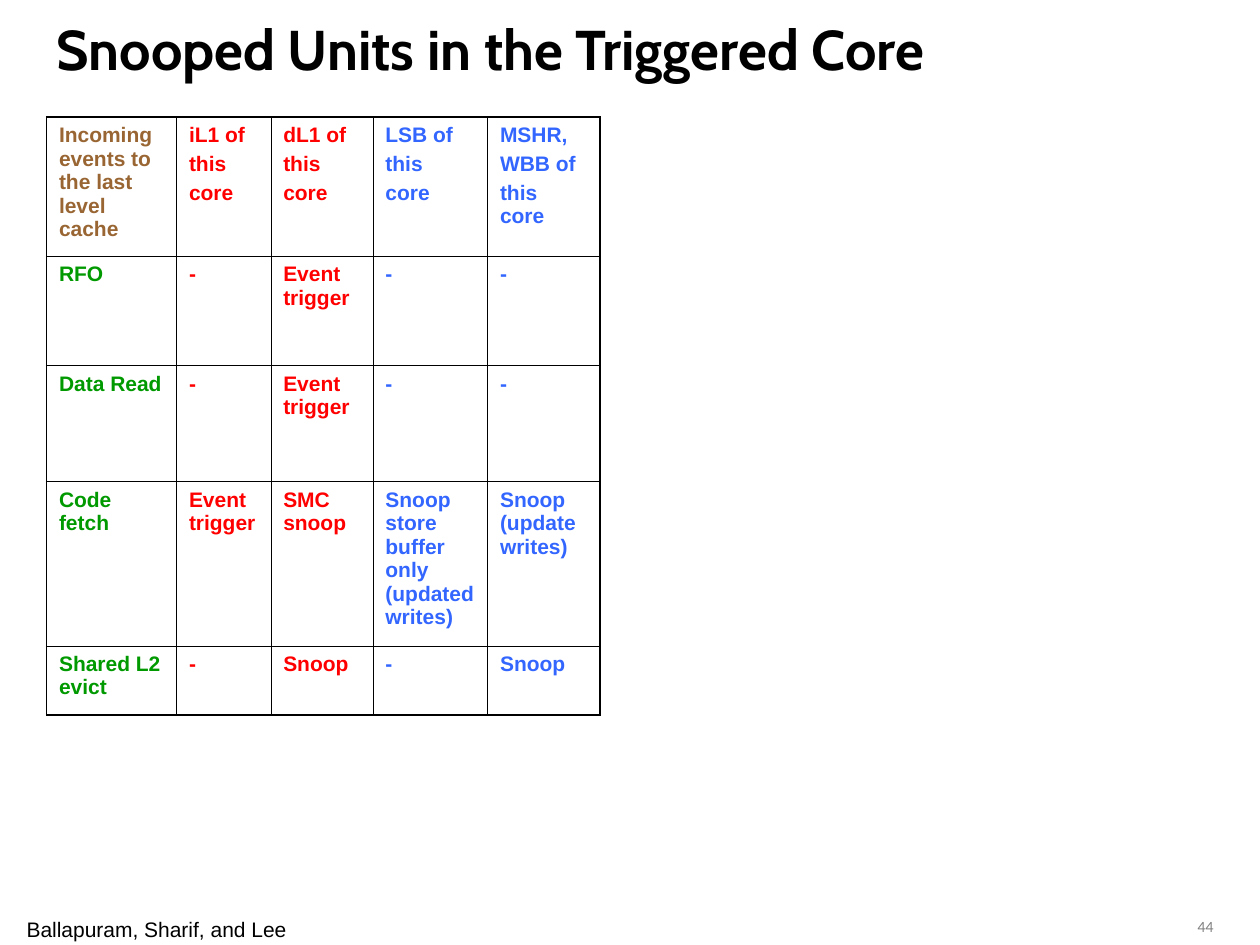
"""Build the slide on the units snooped in the triggered core."""
from typing import NamedTuple

from lxml.etree import SubElement
from pptx import Presentation
from pptx.dml.color import RGBColor
from pptx.enum.text import MSO_ANCHOR, PP_ALIGN
from pptx.oxml.ns import qn
from pptx.util import Cm, Pt

BLACK = RGBColor(0x00, 0x00, 0x00)
GREY = RGBColor(0x80, 0x80, 0x80)
BROWN = RGBColor(0x99, 0x66, 0x33)
GREEN = RGBColor(0x00, 0x99, 0x00)
RED = RGBColor(0xFF, 0x00, 0x00)
BLUE = RGBColor(0x33, 0x66, 0xFF)

INNER_LINE, OUTER_LINE = Pt(0.45), Pt(1.08)
INSET_X, INSET_Y = Cm(0.25), Cm(0.13)


class Column(NamedTuple):
    """A table column: its width in cm, and the colours of its head and body."""
    width: float
    head: RGBColor
    body: RGBColor


class Row(NamedTuple):
    """A table row: its height in cm and the text of each cell."""
    height: float
    texts: tuple[str, ...]


class Label(NamedTuple):
    """A text box: its place in cm, its text and its format."""
    place: tuple[float, float, float, float]
    text: str
    font: str
    size: float
    color: RGBColor = BLACK
    bold: bool = False
    align: PP_ALIGN = PP_ALIGN.LEFT
    anchor: MSO_ANCHOR = MSO_ANCHOR.TOP
    inset: bool = True
    wrap: bool = True


COLUMNS = (
    Column(2.62, BROWN, GREEN),
    Column(1.9, RED, RED),
    Column(2.06, RED, RED),
    Column(2.31, BLUE, BLUE),
    Column(2.26, BLUE, BLUE),
)
ROWS = (
    Row(2.8, ("Incoming events to the last level cache", "iL1 of\nthis\ncore",
              "dL1 of\nthis\ncore", "LSB of\nthis\ncore", "MSHR,\nWBB of\nthis core")),
    Row(2.21, ("RFO", "-", "Event trigger", "-", "-")),
    Row(2.34, ("Data Read", "-", "Event trigger", "-", "-")),
    Row(3.3, ("Code fetch", "Event trigger", "SMC snoop",
              "Snoop store buffer only (updated writes)", "Snoop (update writes)")),
    Row(1.4, ("Shared L2 evict", "-", "Snoop", "-", "Snoop")),
)
LABELS = (
    Label((0.53, 18.47, 5.26, 0.51), "Ballapuram, Sharif, and Lee", "Arial", 12,
          align=PP_ALIGN.CENTER, inset=False, wrap=False),
    Label((0.89, 0, 24.03, 1.96), "Snooped Units in the Triggered Core", "Cabin", 32,
          bold=True, anchor=MSO_ANCHOR.MIDDLE),
    Label((23.04, 18.39, 1.68, 0.43), "44", "Lato", 8, GREY, align=PP_ALIGN.RIGHT),
)


def write_text(frame, text: str, *, font: str, size: float, color: RGBColor,
               bold: bool = False, align: PP_ALIGN = PP_ALIGN.LEFT, gap: float = 0) -> None:
    """Write each line of text as a paragraph, with a gap in points between them."""
    for index, line in enumerate(text.split("\n")):
        para = frame.add_paragraph() if index else frame.paragraphs[0]
        para.alignment = align
        para.space_before = Pt(gap if index else 0)
        span = para.add_run()
        span.text = line
        span.font.name = font
        span.font.size = Pt(size)
        span.font.bold = bold
        span.font.color.rgb = color


def add_label(page, label: Label) -> None:
    """Add a text box to the page."""
    box = page.shapes.add_textbox(*(Cm(length) for length in label.place))
    frame = box.text_frame
    frame.word_wrap = label.wrap
    frame.vertical_anchor = label.anchor
    frame.margin_left = frame.margin_right = INSET_X if label.inset else 0
    frame.margin_top = frame.margin_bottom = INSET_Y if label.inset else 0
    write_text(frame, label.text, font=label.font, size=label.size, color=label.color,
               bold=label.bold, align=label.align)


def draw_borders(cell, outer: dict[str, bool]) -> None:
    """Draw the sides of a cell, thicker where they are on the table's edge."""
    properties = cell._tc.get_or_add_tcPr()
    for side, is_outer in outer.items():
        line = SubElement(properties, qn(f"a:ln{side}"), w=str(OUTER_LINE if is_outer else INNER_LINE))
        fill = SubElement(line, qn("a:solidFill"))
        SubElement(fill, qn("a:srgbClr"), val=str(BLACK))


def add_event_table(page) -> None:
    """Add the table of incoming events and the units they snoop."""
    width = sum(column.width for column in COLUMNS)
    height = sum(row.height for row in ROWS)
    table = page.shapes.add_table(len(ROWS), len(COLUMNS), Cm(0.94), Cm(2.36),
                                  Cm(width), Cm(height)).table
    table.first_row = table.horz_banding = False
    for index, column in enumerate(COLUMNS):
        table.columns[index].width = Cm(column.width)
    for row_index, row in enumerate(ROWS):
        table.rows[row_index].height = Cm(row.height)
        for index, (column, text) in enumerate(zip(COLUMNS, row.texts)):
            cell = table.cell(row_index, index)
            cell.margin_left = cell.margin_right = INSET_X
            cell.margin_top = cell.margin_bottom = INSET_Y
            draw_borders(cell, {"L": index == 0, "R": index == len(COLUMNS) - 1,
                                "T": row_index == 0, "B": row_index == len(ROWS) - 1})
            cell.fill.background()
            write_text(cell.text_frame, text, font="Arial", size=12, bold=True, gap=3,
                       color=column.body if row_index else column.head)


def main() -> None:
    """Build and save the deck."""
    deck = Presentation()
    deck.slide_width, deck.slide_height = Cm(25.4), Cm(19.05)
    page = deck.slides.add_slide(deck.slide_layouts[6])
    for label in LABELS:
        add_label(page, label)
    add_event_table(page)
    deck.save("out.pptx")


if __name__ == "__main__":
    main()
